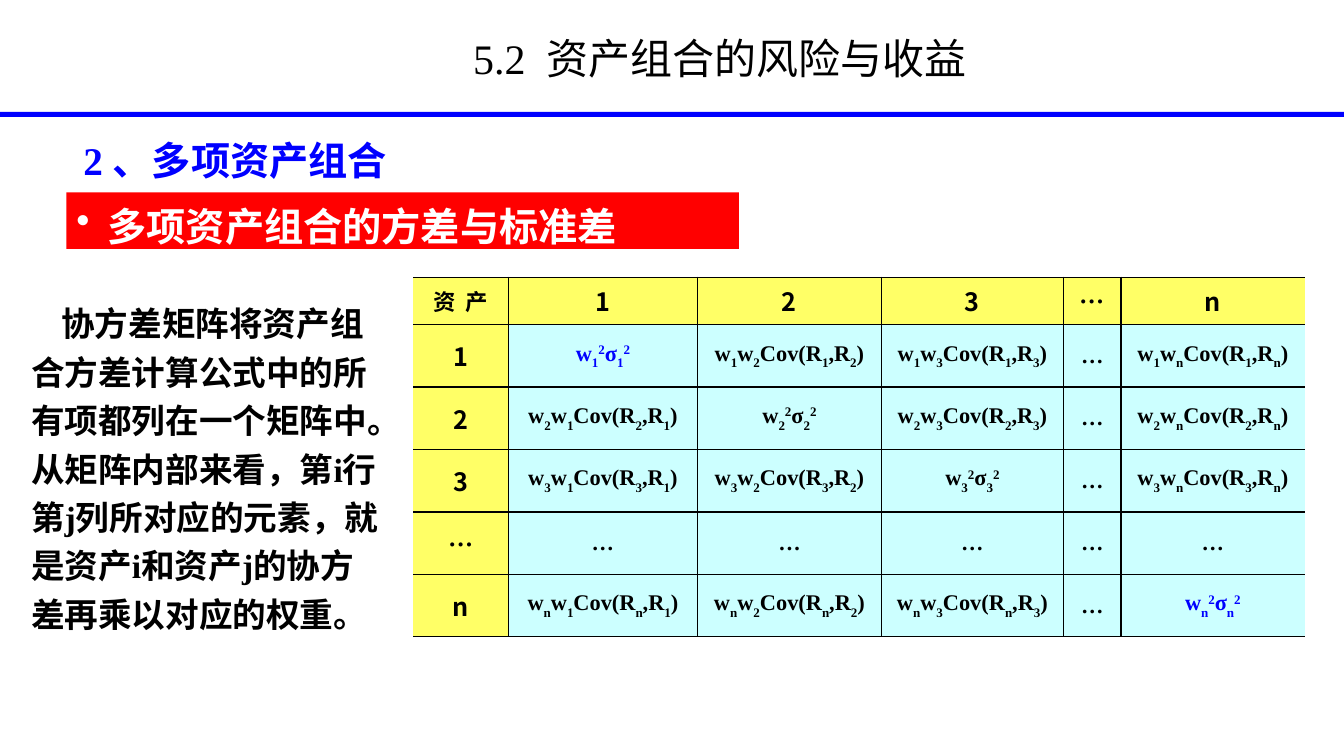
"""Build the slide on the covariance matrix of a multi-asset portfolio."""
from lxml.etree import SubElement
from pptx import Presentation
from pptx.dml.color import RGBColor
from pptx.enum.shapes import MSO_SHAPE
from pptx.enum.text import MSO_ANCHOR, MSO_AUTO_SIZE, PP_ALIGN
from pptx.oxml.ns import qn
from pptx.util import Pt

PX = 9144
SERIF = "Times New Roman"
SANS = "Noto Sans CJK SC"
COLORS = {
    "black": "000000",
    "white": "FFFFFF",
    "blue": "0000FF",
    "red": "FF0000",
    "header": "FFFF66",
    "body": "CCFFFF",
}
ASSETS = ["1", "2", "3", "…", "n"]
COLUMN_WIDTHS = [94, 188, 182, 181, 57, 182]
ROW_HEIGHTS = [47, 62, 62, 62, 62, 62]


def px(*lengths):
    return [length * PX for length in lengths]


def color(name):
    return RGBColor.from_string(COLORS[name])


def add_run(paragraph, text, size, font_name, color_name, bold=True, baseline=0):
    run = paragraph.add_run()
    run.text = text
    run.font.size = Pt(size)
    run.font.name = font_name
    run.font.bold = bold
    run.font.color.rgb = color(color_name)
    properties = run.font._element
    SubElement(properties, qn("a:ea")).set("typeface", SANS)
    if baseline:
        properties.set("baseline", str(baseline * 1000))


def add_title(slide, text):
    title = slide.shapes.title
    title.left, title.top, title.width, title.height = px(344, 18, 740, 78)
    frame = title.text_frame
    frame.auto_size = MSO_AUTO_SIZE.NONE
    frame.vertical_anchor = MSO_ANCHOR.MIDDLE
    paragraph = frame.paragraphs[0]
    paragraph.alignment = PP_ALIGN.CENTER
    add_run(paragraph, text, 30, SERIF, "black", bold=False)


def add_bar(slide, box, color_name):
    bar = slide.shapes.add_shape(MSO_SHAPE.RECTANGLE, *px(*box))
    bar.shadow.inherit = False
    bar.fill.solid()
    bar.fill.fore_color.rgb = color(color_name)
    bar.line.fill.background()
    return bar


def add_bullet_banner(slide, box, text):
    frame = add_bar(slide, box, "red").text_frame
    frame.word_wrap = True
    frame.vertical_anchor = MSO_ANCHOR.TOP
    paragraph = frame.paragraphs[0]
    paragraph.alignment = PP_ALIGN.LEFT
    paragraph.line_spacing = 1.1
    properties = paragraph._p.get_or_add_pPr()
    properties.set("marL", str(31 * PX))
    properties.set("indent", str(-31 * PX))
    SubElement(properties, qn("a:buChar")).set("char", "•")
    add_run(paragraph, text, 28, SANS, "white")


def add_text(slide, box, text, size, color_name, line_spacing=1.0, indent=0):
    frame = slide.shapes.add_textbox(*px(*box)).text_frame
    frame.word_wrap = True
    paragraph = frame.paragraphs[0]
    paragraph.line_spacing = line_spacing
    paragraph._p.get_or_add_pPr().set("indent", str(indent * PX))
    add_run(paragraph, text, size, SERIF, color_name)


def matrix_entry(row_asset, column_asset):
    if "…" in (row_asset, column_asset):
        return [("…", 0)]
    if row_asset == column_asset:
        return [("w", 0), (row_asset, -30), ("2", 30),
                ("σ", 0), (row_asset, -30), ("2", 30)]
    return [("w", 0), (row_asset, -30), ("w", 0), (column_asset, -30),
            ("Cov(R", 0), (row_asset, -30), (",R", 0), (column_asset, -30), (")", 0)]


def set_borders(cell, open_sides):
    properties = cell._tc.get_or_add_tcPr()
    for position, side in enumerate(("L", "R", "T", "B")):
        line = properties.makeelement(qn(f"a:ln{side}"), {"w": str(Pt(1))})
        properties.insert(position, line)
        if side in open_sides:
            SubElement(line, qn("a:noFill"))
        else:
            fill = SubElement(line, qn("a:solidFill"))
            SubElement(fill, qn("a:srgbClr")).set("val", COLORS["black"])


def fill_cell(cell, runs, size, font_name, text_color, fill_color):
    cell.fill.solid()
    cell.fill.fore_color.rgb = color(fill_color)
    cell.vertical_anchor = MSO_ANCHOR.MIDDLE
    paragraph = cell.text_frame.paragraphs[0]
    paragraph.alignment = PP_ALIGN.CENTER
    for text, baseline in runs:
        add_run(paragraph, text, size, font_name, text_color, baseline=baseline)


def add_covariance_table(slide, left, top):
    count = len(ASSETS) + 1
    box = px(left, top, sum(COLUMN_WIDTHS), sum(ROW_HEIGHTS))
    table = slide.shapes.add_table(count, count, *box).table
    table.first_row = table.horz_banding = False
    for column, width in zip(table.columns, px(*COLUMN_WIDTHS)):
        column.width = width
    for row, height in zip(table.rows, px(*ROW_HEIGHTS)):
        row.height = height

    labels = ["资  产"] + ASSETS
    for row, row_label in enumerate(labels):
        for column, column_label in enumerate(labels):
            cell = table.cell(row, column)
            if row == 0 or column == 0:
                label = column_label if row == 0 else row_label
                size = 16 if row == column else 18
                fill_cell(cell, [(label, 0)], size, SANS, "black", "header")
            else:
                corner = row == column and row_label in ("1", "n")
                fill_cell(cell, matrix_entry(row_label, column_label), 16, SERIF,
                          "blue" if corner else "black", "body")
            set_borders(cell, {0: "L", count - 1: "R"}.get(column, ""))


def main():
    presentation = Presentation()
    presentation.slide_width, presentation.slide_height = px(1333, 750)
    slide = presentation.slides.add_slide(presentation.slide_layouts[5])
    add_bar(slide, (0, 111, 1333, 5), "blue")
    add_title(slide, "5.2  资产组合的风险与收益")
    add_text(slide, (73, 130, 567, 49), "2 、多项资产组合", 28, "blue")
    add_bullet_banner(slide, (66, 191, 667, 56), "多项资产组合的方差与标准差")
    add_text(
        slide, (21, 288, 367, 345),
        "协方差矩阵将资产组合方差计算公式中的所有项都列在一个矩阵中。"
        "从矩阵内部来看，第i行第j列所对应的元素，"
        "就是资产i和资产j的协方差再乘以对应的权重。",
        24, "black", line_spacing=1.2, indent=30)
    add_covariance_table(slide, 410, 275)
    presentation.save("out.pptx")


if __name__ == "__main__":
    main()
